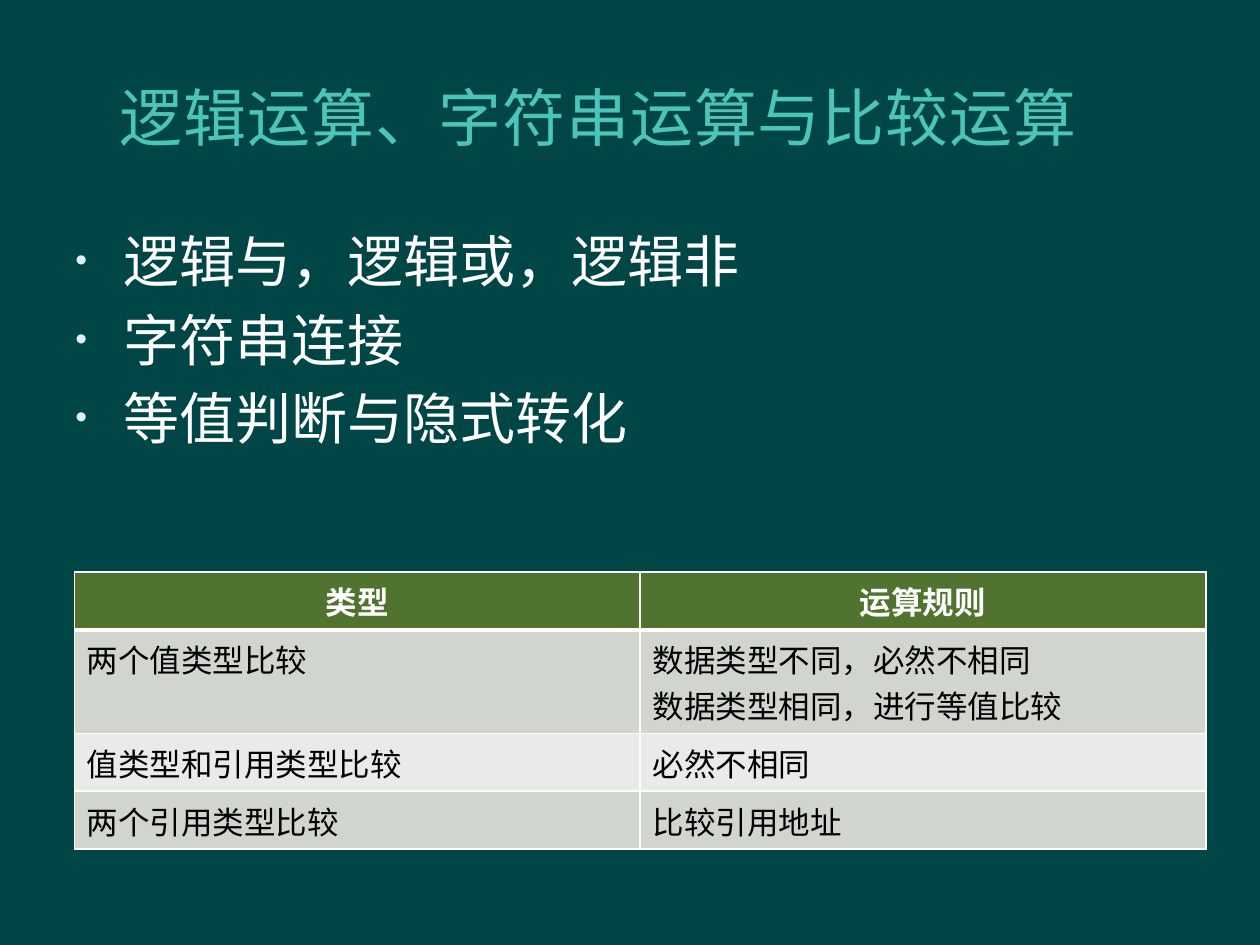
"""Build a slide on logical, string and comparison operations."""
from lxml import etree
from pptx import Presentation
from pptx import util as u
from pptx.dml.color import RGBColor
from pptx.enum import text
from pptx.oxml.ns import qn

TITLE = "逻辑运算、字符串运算与比较运算"
POINTS = ["逻辑与，逻辑或，逻辑非", "字符串连接", "等值判断与隐式转化"]
RULES = [
    ("类型", "运算规则"),
    ("两个值类型比较", "数据类型不同，必然不相同\n数据类型相同，进行等值比较"),
    ("值类型和引用类型比较", "必然不相同"),
    ("两个引用类型比较", "比较引用地址"),
]
THEME = {
    "background": "004646",
    "bullet": "E1F0FF",
    "border": "FFFFFF",
    "header": "50742F",
    "bands": ("E9EBE8", "D0D6CD"),
    "title": {"name": "Arial", "size": u.Pt(36), "color": "4BC5B9"},
    "body": {"name": "Times New Roman", "size": u.Pt(32), "color": "FFFFFF"},
    "head": {"name": "Times New Roman", "size": u.Pt(18), "color": "FFFFFF", "bold": True},
    "cell": {"name": "Times New Roman", "size": u.Pt(18), "color": "000000", "bold": False},
}


def set_all(target, values):
    for name, value in values.items():
        setattr(target, name, value)


def paint(fill, color):
    fill.solid()
    fill.fore_color.rgb = RGBColor.from_string(color)


def write(frame, lines, style, **layout):
    frame.text = "\n".join(lines)
    font_values = {name: value for name, value in style.items() if name != "color"}
    for para in frame.paragraphs:
        set_all(para, layout)
        for span in para.runs:
            set_all(span.font, font_values)
            span.font.color.rgb = RGBColor.from_string(style["color"])


def add_bullet(para):
    props = para._p.get_or_add_pPr()
    indent = u.Inches(0.38)
    props.set("marL", str(indent))
    props.set("indent", str(-indent))
    color = etree.SubElement(props, qn("a:buClr"))
    etree.SubElement(color, qn("a:srgbClr"), val=THEME["bullet"])
    etree.SubElement(props, qn("a:buSzPct"), val="60000")
    etree.SubElement(props, qn("a:buFont"), typeface="Arial")
    etree.SubElement(props, qn("a:buChar"), char="•")


def add_borders(cell, widths):
    props = cell._tc.get_or_add_tcPr()
    for index, (side, width) in enumerate(widths.items()):
        line = etree.Element(qn(f"a:ln{side}"), w=str(u.Pt(width)))
        fill = etree.SubElement(line, qn("a:solidFill"))
        etree.SubElement(fill, qn("a:srgbClr"), val=THEME["border"])
        props.insert(index, line)


def add_title(slide):
    title = slide.shapes.title
    set_all(title, {"left": u.Inches(0.5), "top": u.Inches(0.3),
                    "width": u.Inches(8.5), "height": u.Inches(1.25)})
    title.text_frame.vertical_anchor = text.MSO_ANCHOR.MIDDLE
    write(title.text_frame, [TITLE], THEME["title"], alignment=text.PP_ALIGN.CENTER)
    title.text_frame.paragraphs[0].runs[0].font._element.set("spc", "50")


def add_points(slide):
    box = slide.shapes.add_textbox(u.Inches(0.5), u.Inches(1.75), u.Inches(9), u.Inches(4.95))
    box.text_frame.word_wrap = True
    write(box.text_frame, POINTS, THEME["body"], space_before=u.Pt(6.4))
    for para in box.text_frame.paragraphs:
        add_bullet(para)


def add_rules(slide):
    padding, line_height = u.Inches(0.1), u.Inches(0.36)
    heights = [padding + line_height * max(len(value.split("\n")) for value in values)
               for values in RULES]
    frame = slide.shapes.add_table(len(RULES), len(RULES[0]), u.Inches(0.59), u.Inches(4.54),
                                   u.Inches(8.98), sum(heights))
    for row, values in enumerate(RULES):
        frame.table.rows[row].height = heights[row]
        is_head = row == 0
        for column, value in enumerate(values):
            cell = frame.table.cell(row, column)
            write(cell.text_frame, value.split("\n"), THEME["head" if is_head else "cell"],
                  alignment=text.PP_ALIGN.CENTER if is_head else text.PP_ALIGN.LEFT)
            paint(cell.fill, THEME["header"] if is_head else THEME["bands"][row % 2])
            add_borders(cell, {"L": 1, "R": 1, "T": 3 if row == 1 else 1, "B": 3 if is_head else 1})


def main():
    deck = Presentation()
    set_all(deck, {"slide_width": u.Inches(10), "slide_height": u.Inches(7.5)})
    slide = deck.slides.add_slide(deck.slide_layouts.get_by_name("Title Only"))
    paint(slide.background.fill, THEME["background"])
    add_title(slide)
    add_points(slide)
    add_rules(slide)
    deck.save("out.pptx")


if __name__ == "__main__":
    main()
